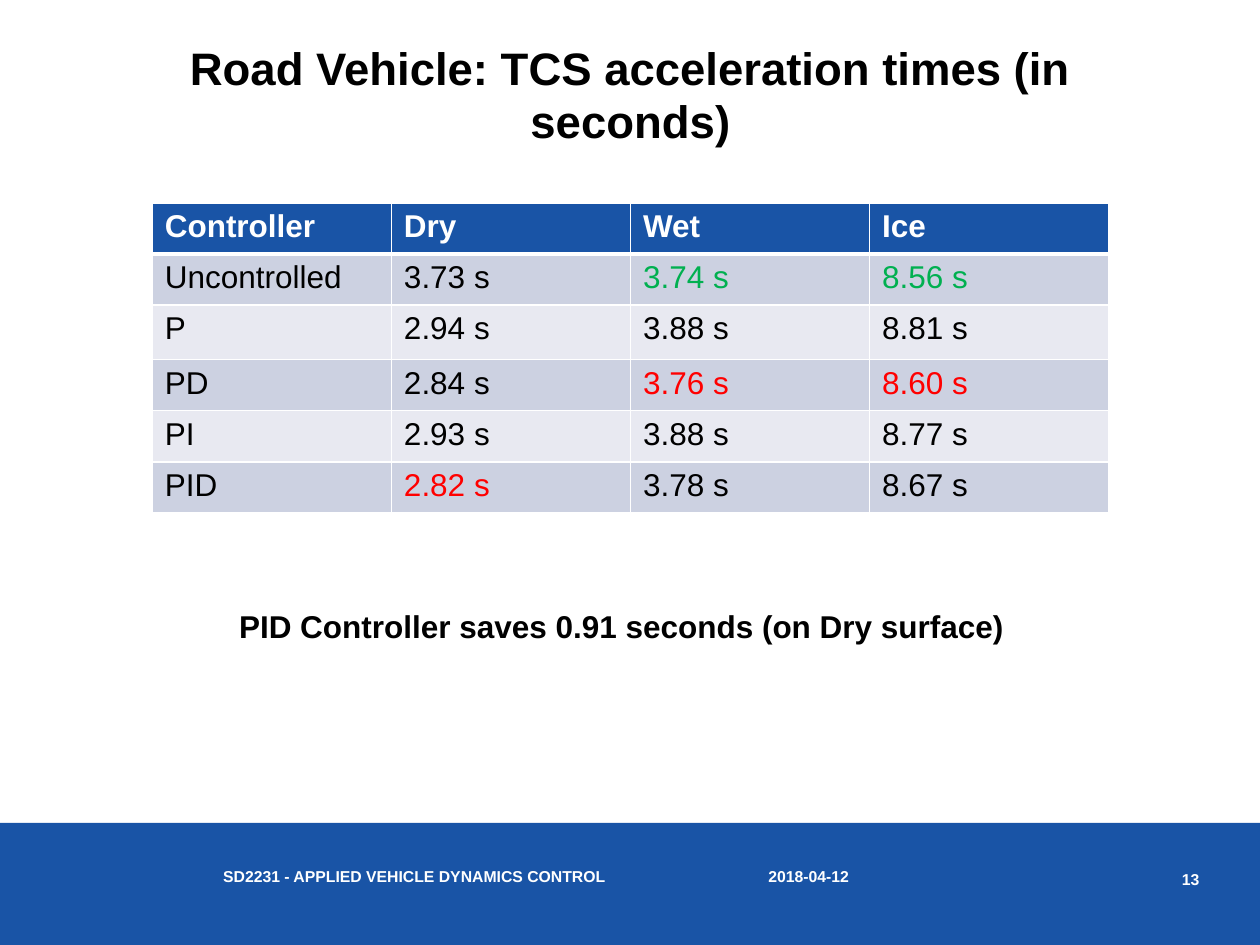
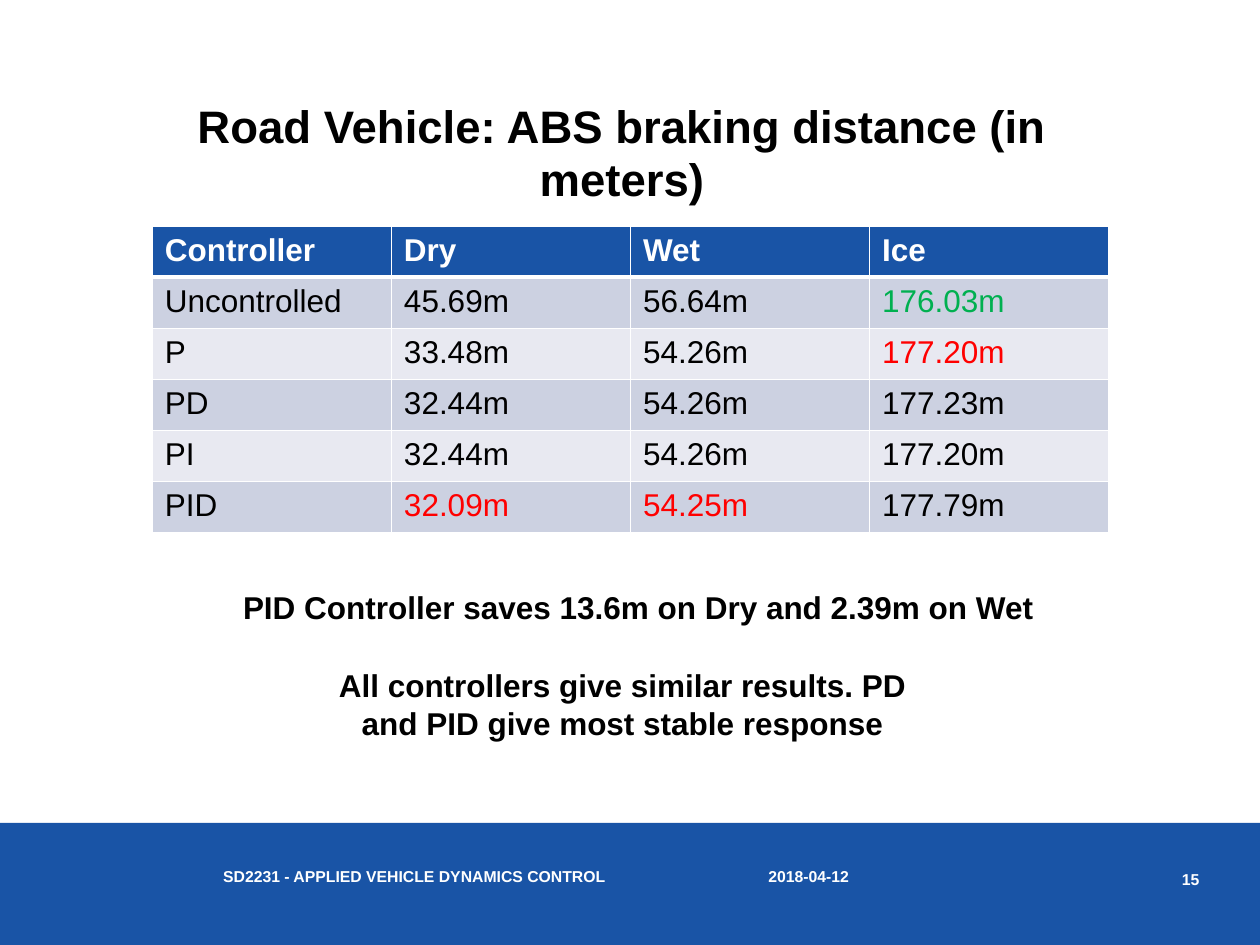
from lxml import etree
from pptx import Presentation
from pptx.dml.color import RGBColor
from pptx.enum import shapes, text
from pptx.oxml import ns
from pptx.util import Cm, Pt

BLUE = RGBColor(0x19, 0x54, 0xA6)
WHITE = RGBColor(0xFF, 0xFF, 0xFF)
BLACK = RGBColor(0, 0, 0)
GREEN = RGBColor(0, 0xB0, 0x50)
RED = RGBColor(0xFF, 0, 0)
STRIPES = (RGBColor(0xCC, 0xD1, 0xE1), RGBColor(0xE8, 0xE9, 0xF1))
ROW_HEIGHT = 1.03


def write(frame, words, size=18, color=BLACK, bold=True, align=None, spacing=None):
    paragraph = frame.paragraphs[0]
    paragraph.alignment = align
    if spacing:
        paragraph.line_spacing = Pt(spacing)
    run = paragraph.add_run()
    run.text = words
    run.font.name = "Arial"
    run.font.size = Pt(size)
    run.font.bold = bold
    run.font.color.rgb = color


def clear_margins(frame):
    frame.margin_left = frame.margin_right = 0
    frame.margin_top = frame.margin_bottom = 0


def draw_borders(cell, top, bottom):
    properties = cell._tc.get_or_add_tcPr()
    for side, width in (("L", 1), ("R", 1), ("T", top), ("B", bottom)):
        line = etree.SubElement(properties, ns.qn(f"a:ln{side}"), w=str(Pt(width)))
        fill = etree.SubElement(line, ns.qn("a:solidFill"))
        etree.SubElement(fill, ns.qn("a:srgbClr"), val=str(WHITE))


class Deck:
    def __init__(self):
        self.presentation = Presentation()
        self.presentation.slide_width = Cm(25.4)
        self.presentation.slide_height = Cm(19.05)
        self.slide = None

    def add_slide(self, number):
        layout = self.presentation.slide_layouts.get_by_name("Title Only")
        self.slide = self.presentation.slides.add_slide(layout)
        self.add_footer(number)

    def add_footer(self, number):
        band = self.slide.shapes.add_shape(
            shapes.MSO_SHAPE.RECTANGLE, 0, Cm(16.59), Cm(25.4), Cm(2.46))
        band.shadow.inherit = False
        band.fill.solid()
        band.fill.fore_color.rgb = BLUE
        band.line.fill.background()
        style = dict(size=9, color=WHITE, inset=False)
        self.add_text("2018-04-12", 15.49, 17.48, 5.92, **style)
        self.add_text(str(number), 22.71, 17.53, 1.47,
                      align=text.PP_ALIGN.RIGHT, **style)
        self.add_text("SD2231 - APPLIED VEHICLE DYNAMICS CONTROL",
                      4.5, 17.53, 8.05, spacing=9, **style)

    def add_title(self, words, left, top):
        title = self.slide.shapes.title
        title.left, title.top = Cm(left), Cm(top)
        title.width, title.height = Cm(19.28), Cm(1.85)
        frame = title.text_frame
        frame.auto_size = text.MSO_AUTO_SIZE.NONE
        frame.vertical_anchor = text.MSO_ANCHOR.MIDDLE
        clear_margins(frame)
        write(frame, words, size=26, align=text.PP_ALIGN.CENTER, spacing=30)

    def add_text(self, words, left, top, width, height=1.02, inset=True, **style):
        box = self.slide.shapes.add_textbox(Cm(left), Cm(top), Cm(width), Cm(height))
        frame = box.text_frame
        frame.word_wrap = True
        if not inset:
            clear_margins(frame)
        write(frame, words, **style)

    def add_table(self, rows, top, heights, highlights):
        table = self.slide.shapes.add_table(
            len(rows), len(rows[0]), Cm(3.07), Cm(top),
            Cm(19.28), Cm(sum(heights))).table
        for row, height in zip(table.rows, heights):
            row.height = Cm(height)
        for i, values in enumerate(rows):
            header = i == 0
            for j, value in enumerate(values):
                cell = table.cell(i, j)
                draw_borders(cell, top=3 if i == 1 else 1, bottom=3 if header else 1)
                cell.fill.solid()
                cell.fill.fore_color.rgb = BLUE if header else STRIPES[(i - 1) % 2]
                color = WHITE if header else highlights.get((i, j), BLACK)
                write(cell.text_frame, value, color=color, bold=header)


HEADER = ("Controller", "Dry", "Wet", "Ice")
ACCELERATION_TIMES = (
    HEADER,
    ("Uncontrolled", "3.73 s", "3.74 s", "8.56 s"),
    ("P", "2.94 s", "3.88 s", "8.81 s"),
    ("PD", "2.84 s", "3.76 s", "8.60 s"),
    ("PI", "2.93 s", "3.88 s", "8.77 s"),
    ("PID", "2.82 s", "3.78 s", "8.67 s"),
)
BRAKING_DISTANCES = (
    HEADER,
    ("Uncontrolled", "45.69m", "56.64m", "176.03m"),
    ("P", "33.48m", "54.26m", "177.20m"),
    ("PD", "32.44m", "54.26m", "177.23m"),
    ("PI", "32.44m", "54.26m", "177.20m"),
    ("PID", "32.09m", "54.25m", "177.79m"),
)

deck = Deck()

deck.add_slide(13)
deck.add_title("Road Vehicle: TCS acceleration times (in seconds)", 3.07, 0.99)
deck.add_table(ACCELERATION_TIMES, 4.09,
               [ROW_HEIGHT] * 2 + [1.1] + [ROW_HEIGHT] * 3,
               {(1, 2): GREEN, (1, 3): GREEN,
                (3, 2): RED, (3, 3): RED, (5, 1): RED})
deck.add_text("PID Controller saves 0.91 seconds (on Dry surface)", 4.57, 12.12, 16.26)

deck.add_slide(15)
deck.add_title("Road Vehicle: ABS braking distance (in meters)", 2.9, 2.16)
deck.add_table(BRAKING_DISTANCES, 4.57, [0.94] + [ROW_HEIGHT] * 5,
               {(1, 3): GREEN, (2, 3): RED, (5, 1): RED, (5, 2): RED})
deck.add_text("PID Controller saves 13.6m on Dry and 2.39m on Wet", 4.65, 11.73, 16.79)
deck.add_text("All controllers give similar results. PD and PID give most stable response",
              6.2, 13.31, 12.7, height=1.8, align=text.PP_ALIGN.CENTER)

deck.presentation.save("out.pptx")
